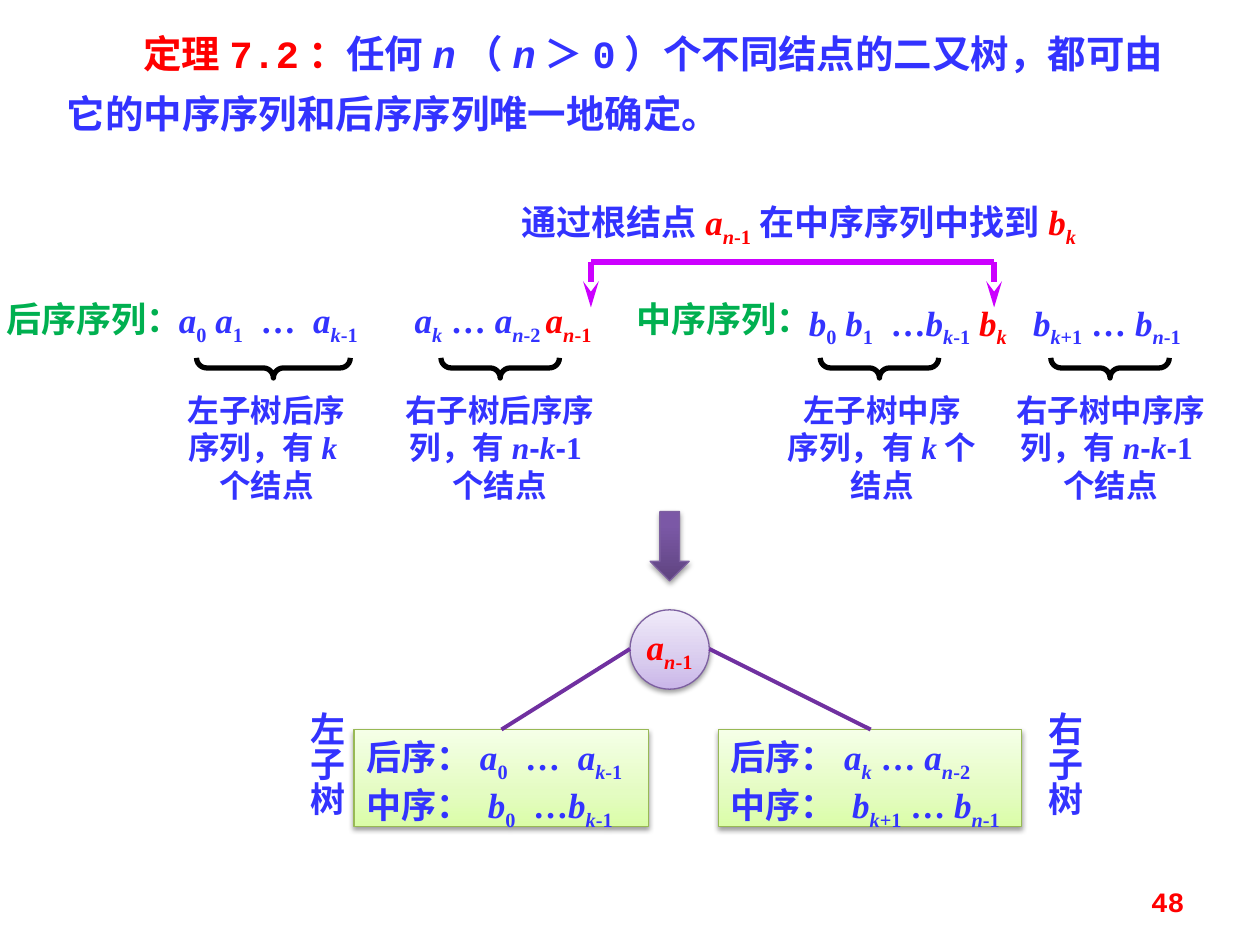
from dataclasses import dataclass

from pptx import Presentation
from pptx.dml.color import RGBColor
from pptx.enum.shapes import MSO_CONNECTOR, MSO_SHAPE
from pptx.enum.text import MSO_ANCHOR, MSO_AUTO_SIZE, PP_ALIGN
from pptx.oxml import parse_xml
from pptx.oxml.ns import nsdecls, qn
from pptx.util import Inches, Pt

BLUE, RED, GREEN = "3333FF", "FF0000", "00B050"
MAGENTA, PURPLE, BLACK = "CC00FF", "7030A0", "000000"
SERIF, MONO, CJK, SANS = "Times New Roman", "Courier New", "Noto Sans CJK SC", "Arial"
LILAC = ((0, "C9B5E8"), (35, "D8CBEE"), (100, "F0EAF9"))
LIME = ((0, "DAFDA7"), (35, "E4FCC2"), (100, "F5FFE7"))
VIOLET = ((0, "5F4480"), (80, "7B58A6"), (100, "7C57A8"))


@dataclass
class Group:
    """A brace under part of a sequence, and its caption."""
    center: float
    span: float
    left: float
    width: float
    caption: str


@dataclass
class Subtree:
    """A box with the sequences of one subtree, and its vertical label."""
    left: float
    width: float
    label: str
    label_left: float
    lines: tuple
    line_from: float
    line_to: float


def color(value: str) -> RGBColor:
    return RGBColor.from_string(value)


def write(shape, *lines: str, size=20, font=SERIF, fill=BLUE, bold=True, align=PP_ALIGN.LEFT,
          anchor=MSO_ANCHOR.TOP, margins=(0, 0), spacing=None, indent=0):
    """Segments are split by | and may start with flags and a colon:
    i italic, s subscript, r red, h sans hyphen, each w 5 pt wider, b line break before."""
    frame = shape.text_frame
    frame.word_wrap = True
    frame.auto_size = MSO_AUTO_SIZE.NONE
    frame.vertical_anchor = anchor
    frame.margin_left = frame.margin_right = Inches(margins[0])
    frame.margin_top = frame.margin_bottom = Inches(margins[1])
    for index, line in enumerate(lines):
        paragraph = frame.paragraphs[0] if index == 0 else frame.add_paragraph()
        paragraph.alignment = align
        if spacing:
            paragraph.line_spacing = spacing
        paragraph._p.get_or_add_pPr().set("indent", str(Inches(indent)))
        for segment in line.split("|"):
            flags, _, text = segment.rpartition(":")
            if "b" in flags:
                paragraph.add_line_break()
            run = paragraph.add_run()
            run.text = text
            run.font.size, run.font.bold = Pt(size), bold
            run.font.italic = "i" in flags
            run.font.color.rgb = color(RED if "r" in flags else fill)
            run.font.name = SANS if "h" in flags else font
            run_properties = run._r.get_or_add_rPr()
            run_properties.append(parse_xml(f'<a:ea {nsdecls("a")} typeface="{CJK}"/>'))
            if "s" in flags:
                run_properties.set("baseline", "-25000")
            if "w" in flags:
                run_properties.set("spc", str(500 * flags.count("w")))


def add_text(slide, left: float, top: float, width: float, height: float, *lines: str, **style):
    shape = slide.shapes.add_textbox(Inches(left), Inches(top), Inches(width), Inches(height))
    write(shape, *lines, **style)
    return shape


def add_line(slide, start: tuple, end: tuple, stroke: str, width: float, arrow=False):
    points = [Inches(value) for value in (*start, *end)]
    line = slide.shapes.add_connector(MSO_CONNECTOR.STRAIGHT, *points)
    line.line.color.rgb = color(stroke)
    line.line.width = Pt(width)
    if arrow:
        line.line._get_or_add_ln().append(
            parse_xml(f'<a:tailEnd {nsdecls("a")} type="stealth" len="lg"/>'))
    line._element.spPr.append(parse_xml(f'<a:effectLst {nsdecls("a")}/>'))


def add_shaded(slide, kind, left: float, top: float, width: float, height: float,
               stops: tuple, outline: str):
    """A shape with an upward gradient and a soft shadow below it."""
    shape = slide.shapes.add_shape(kind, Inches(left), Inches(top), Inches(width), Inches(height))
    shape.fill.solid()
    shape.line.color.rgb = color(outline)
    shape.line.width = Pt(0.75)
    shape.shadow.inherit = False
    properties = shape._element.spPr
    marks = "".join(f'<a:gs pos="{place * 1000}"><a:srgbClr val="{value}"/></a:gs>'
                    for place, value in stops)
    properties.replace(properties.find(qn("a:solidFill")), parse_xml(
        f'<a:gradFill {nsdecls("a")} rotWithShape="1"><a:gsLst>{marks}</a:gsLst>'
        '<a:lin ang="16200000" scaled="0"/></a:gradFill>'))
    properties.find(qn("a:effectLst")).append(parse_xml(
        f'<a:outerShdw {nsdecls("a")} blurRad="{Pt(3.1)}" dist="{Pt(1.6)}" dir="5400000" '
        f'rotWithShape="0"><a:srgbClr val="{BLACK}"><a:alpha val="38000"/></a:srgbClr>'
        '</a:outerShdw>'))
    return shape


def add_group(slide, group: Group):
    depth, middle = 0.16, 2.92
    brace = slide.shapes.add_shape(
        MSO_SHAPE.LEFT_BRACE, Inches(group.center - depth / 2), Inches(middle - group.span / 2),
        Inches(depth), Inches(group.span))
    brace.rotation = 270
    brace.adjustments[0] = 0.5
    brace.fill.background()
    brace.line.color.rgb = color(BLACK)
    brace.line.width = Pt(3)
    brace.shadow.inherit = False
    add_text(slide, group.left, 3.1, group.width, 0.91, group.caption,
             size=18, align=PP_ALIGN.CENTER)


def add_subtree(slide, subtree: Subtree):
    box = add_shaded(slide, MSO_SHAPE.RECTANGLE, subtree.left, 5.79, subtree.width, 0.77,
                     LIME, "98B955")
    write(box, *subtree.lines, margins=(0.1, 0.05))
    label = add_text(slide, subtree.label_left, 5.55, 0.54, 1.33, subtree.label,
                     font=CJK, align=PP_ALIGN.CENTER, margins=(0.1, 0.05))
    label.text_frame._txBody.bodyPr.set("vert", "eaVert")
    add_line(slide, (subtree.line_from, 5.15), (subtree.line_to, 5.79), PURPLE, 2.25)


def main():
    presentation = Presentation()
    presentation.slide_width, presentation.slide_height = Inches(10), Inches(7.5)
    slide = presentation.slides.add_slide(presentation.slide_layouts[5])

    # Theorem
    title = slide.shapes.title
    title.left, title.top, title.width, title.height = map(Inches, (0.43, 0.08, 8.9, 1.01))
    write(title, "r:定理7.2：|任何|i:n|（|i:n|＞0）个不同结点的二又树，都可由它的中序序列和后序序列唯一地确定。",
          size=22, font=MONO, margins=(0.1, 0.05), spacing=1.3, indent=0.61)

    # The two sequences
    for left, label in ((0, "后序序列："), (5, "中序序列：")):
        add_text(slide, left, 2.36, 1.5, 0.33, label, fill=GREEN, align=PP_ALIGN.CENTER)
    add_text(slide, 1.42, 2.37, 1.8, 0.34,
             "i:a|s:0| |i:a|s:1|w: |…|w: |i:a|is:k|s:-1")
    add_text(slide, 3.29, 2.37, 1.79, 0.34,
             "i:a|is:k| … |i:a|is:n|s:-2 |ir:a|isr:n|sr:-1")
    add_text(slide, 6.42, 2.39, 3.2, 0.34,
             "i:b|s:0| |i:b|s:1|w: |…|i:b|is:k|s:-1| |ir:b|isr:k|ww: "
             "|i:b|is:k|s:+1| … |i:b|is:n|s:-1")

    # Braces and captions
    right_count = "i:n|h:-|i:k|h:-|1个结点"
    for group in (
        Group(2.17, 1.22, 1.41, 1.41, "左子树后序序列，有|i:k|个结点"),
        Group(3.97, 0.94, 3.18, 1.57, "右子树后序序列，有|" + right_count),
        Group(6.98, 0.94, 6.24, 1.52, "左子树中序|b:序列，有|i:k|个结点"),
        Group(8.81, 0.94, 8.03, 1.57, "右子树中序序列，有|" + right_count),
    ):
        add_group(slide, group)

    # Link from the root to its place in the inorder sequence
    root_x, found_x, link_y = 4.69, 7.89, 2.08
    add_line(slide, (root_x, link_y), (found_x, link_y), MAGENTA, 3)
    for x in (root_x, found_x):
        add_line(slide, (x, link_y), (x, link_y + 0.36), MAGENTA, 3, arrow=True)
    add_text(slide, 4.14, 1.59, 4.63, 0.34,
             "通过根结点|ir:a|isr:n|sr:-1|在中序序列中找到|ir:b|isr:k")

    # Resulting tree
    add_shaded(slide, MSO_SHAPE.DOWN_ARROW, 5.16, 4.06, 0.31, 0.55, VIOLET, "7D60A0")
    root = add_shaded(slide, MSO_SHAPE.OVAL, 5, 4.84, 0.63, 0.63, LILAC, "7D60A0")
    write(root, "ir:a|isr:n|sr:-1", align=PP_ALIGN.CENTER, anchor=MSO_ANCHOR.MIDDLE,
          margins=(0, 0.05))
    for subtree in (
        Subtree(2.81, 2.34, "左子树", 2.27,
                ("后序：|i:a|s:0|w: |…|w: |i:a|is:k|s:-1", "中序：|i: b|s:0|w: |…|i:b|is:k|s:-1"),
                5, 3.98),
        Subtree(5.7, 2.41, "右子树", 8.13,
                ("后序：|i:a|is:k| … |i:a|is:n|s:-2", "中序：|i: b|is:k|s:+1| … |i:b|is:n|s:-1"),
                5.63, 6.91),
    ):
        add_subtree(slide, subtree)

    # Page number
    add_text(slide, 7.17, 6.95, 2.33, 0.4, "48", size=16, font=MONO, fill=RED,
             align=PP_ALIGN.RIGHT, anchor=MSO_ANCHOR.MIDDLE, margins=(0.1, 0.05))

    presentation.save("out.pptx")


if __name__ == "__main__":
    main()
